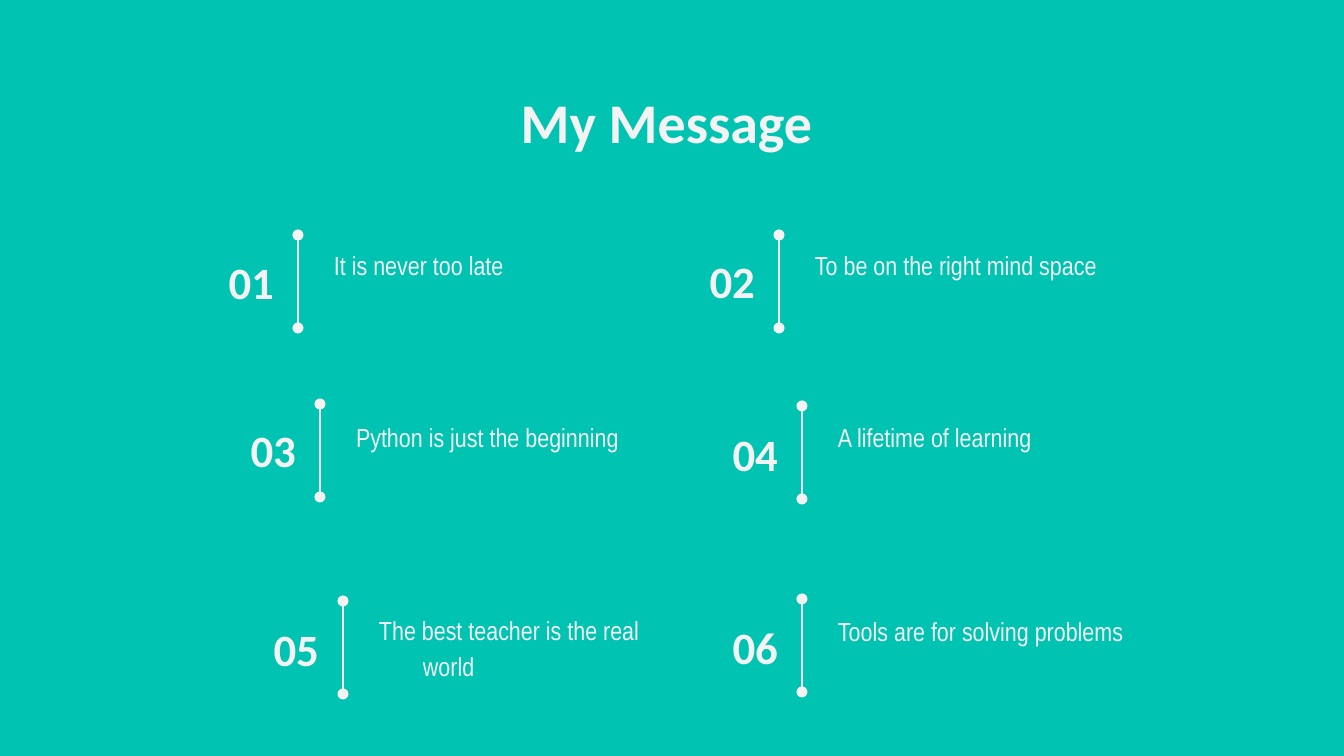
from lxml import etree
from pptx import Presentation
from pptx.dml.color import RGBColor
from pptx.enum.shapes import MSO_CONNECTOR
from pptx.enum.text import MSO_ANCHOR as Anchor, MSO_AUTO_SIZE as AutoSize, PP_ALIGN as Align
from pptx.oxml.ns import qn
from pptx.util import Pt

SCALE = 9144000 / 1344  # EMU per px
TEAL, PALE = "00C3B1", "F3F3F3"


def px(length):
    return round(length * SCALE)


def write(shape, text, font_name, size, bold, align, anchor):
    """Fill a text shape with one formatted paragraph and return it."""
    frame = shape.text_frame
    frame.word_wrap = True
    frame.auto_size = AutoSize.NONE
    frame.vertical_anchor = anchor
    frame.margin_left = frame.margin_right = px(13)
    frame.margin_top = frame.margin_bottom = px(13)
    frame.text = text
    paragraph = frame.paragraphs[0]
    paragraph.alignment = align
    font = paragraph.font
    font.name, font.size, font.bold = font_name, Pt(size), bold
    font.color.rgb = RGBColor.from_string(PALE)
    return paragraph


presentation = Presentation()
presentation.slide_width, presentation.slide_height = px(1344), px(756)
slide = presentation.slides.add_slide(presentation.slide_layouts[5])
slide.background.fill.solid()
slide.background.fill.fore_color.rgb = RGBColor.from_string(TEAL)

# Title
title = slide.shapes.title
title.left, title.top, title.width, title.height = px(100), px(75), px(1133), px(85)
write(title, "My Message", "Calibri", 30, True, Align.CENTER, Anchor.TOP)

# Messages: line x, line top, number top, text top, line spacing, text
messages = [
    (298, 235, 251, 236, 1.0, "It is never too late"),
    (779, 235, 250, 236, 1.0, "To be on the right mind space"),
    (320, 404, 419, 404, 1.15, "Python is just the beginning"),
    (802, 406, 423, 404, 1.15, "A lifetime of learning"),
    (343, 601, 618, 597, 1.15, "The best teacher is the real world"),
    (802, 599, 616, 598, 1.15, "Tools are for solving problems"),
]
for number, (x, line_top, number_top, text_top, spacing, text) in enumerate(messages, 1):
    # Number to the left of the line
    number_box = slide.shapes.add_textbox(px(x - 100), px(number_top), px(89), px(62))
    write(number_box, f"{number:02d}", "Calibri", 24, True, Align.RIGHT, Anchor.MIDDLE)

    # Message with a hanging indent
    text_box = slide.shapes.add_textbox(px(x), px(text_top), px(344), px(95))
    paragraph = write(text_box, text, "Arial Narrow", 14, False, Align.LEFT, Anchor.TOP)
    paragraph.line_spacing = spacing
    properties = paragraph._p.get_or_add_pPr()
    properties.set("marL", str(px(67)))
    properties.set("indent", str(px(-44)))

    # Vertical line with round ends
    line = slide.shapes.add_connector(
        MSO_CONNECTOR.STRAIGHT, px(x), px(line_top), px(x), px(line_top + 93))
    line.line.width = Pt(1.5)
    line.line.color.rgb = RGBColor.from_string(PALE)
    outline = line.line._get_or_add_ln()
    for end in ("a:headEnd", "a:tailEnd"):
        etree.SubElement(outline, qn(end), type="oval")
    etree.SubElement(line._element.spPr, qn("a:effectLst"))

presentation.save("out.pptx")
